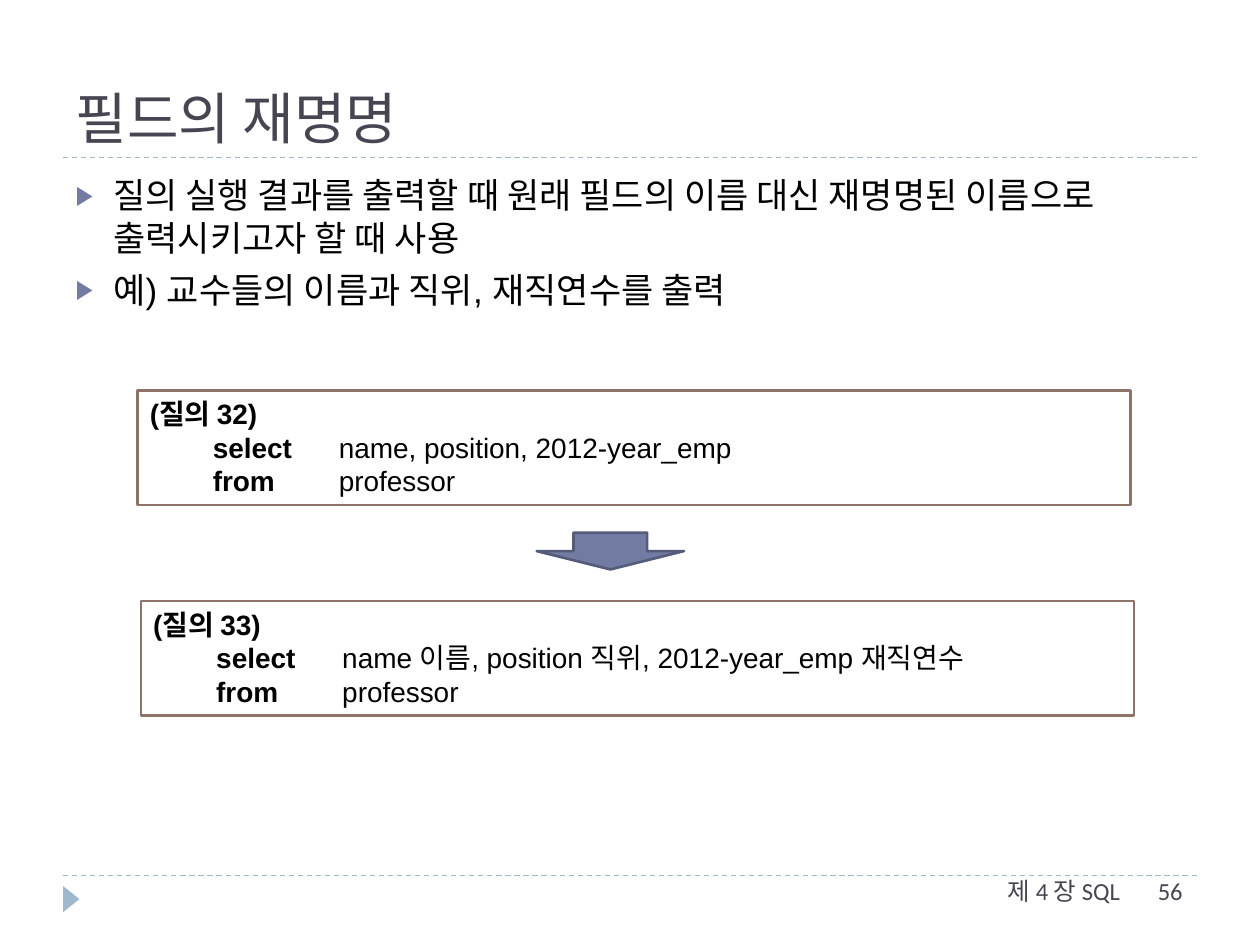
from lxml import etree
from pptx import Presentation
from pptx.dml.color import RGBColor
from pptx.enum.dml import MSO_LINE
from pptx.enum.shapes import MSO_CONNECTOR, MSO_SHAPE
from pptx.enum.text import MSO_ANCHOR, MSO_AUTO_SIZE, PP_ALIGN
from pptx.oxml.ns import qn
from pptx.util import Cm, Pt

STRAIGHT = MSO_CONNECTOR.STRAIGHT
DASH = MSO_LINE.DASH
RECTANGLE = MSO_SHAPE.RECTANGLE
DOWN_ARROW = MSO_SHAPE.DOWN_ARROW
TRIANGLE = MSO_SHAPE.ISOSCELES_TRIANGLE
TOP, BOTTOM = MSO_ANCHOR.TOP, MSO_ANCHOR.BOTTOM
LEFT, RIGHT = PP_ALIGN.LEFT, PP_ALIGN.RIGHT
NO_FIT = MSO_AUTO_SIZE.NONE

COLORS = {
    "white": "FFFFFF",
    "black": "000000",
    "heading": "464653",
    "accent": "727CA3",
    "accent_edge": "545C79",
    "pale": "9FB8CD",
    "box_edge": "8E736A",
}
FORMATS = {
    "title": {"name": "Arial", "size": Pt(32), "color": "heading", "bold": False},
    "body": {"name": "Calibri", "size": Pt(20), "color": "black"},
    "example": {"name": "Arial", "size": Pt(20), "color": "black"},
    "keyword": {"name": "Arial", "size": Pt(16), "color": "black", "bold": True},
    "code": {"name": "Arial", "size": Pt(16), "color": "black", "bold": False},
    "footer": {"name": "Calibri", "size": Pt(14), "color": "heading"},
}


def rgb(color):
    return RGBColor.from_string(COLORS[color])


class SlideBuilder:
    def __init__(self, slide):
        self.slide = slide
        self.shapes = slide.shapes

    def styled_run(self, paragraph, text, style):
        run = paragraph.add_run()
        run.text = text
        for key, value in FORMATS[style].items():
            if key == "color":
                run.font.color.rgb = rgb(value)
            else:
                setattr(run.font, key, value)

    def place(self, shape, box, anchor=TOP):
        for side, length in zip(("left", "top", "width", "height"), box):
            setattr(shape, side, Cm(length))
        frame = shape.text_frame
        settings = {"word_wrap": True, "auto_size": NO_FIT, "vertical_anchor": anchor}
        for key, value in settings.items():
            setattr(frame, key, value)
        return frame

    def paragraphs(self, frame, lines, align=LEFT):
        """Each line is a list of (text, style) runs."""
        for index, line in enumerate(lines):
            paragraph = frame.add_paragraph() if index else frame.paragraphs[0]
            paragraph.alignment = align
            for text, style in line:
                self.styled_run(paragraph, text, style)

    def title(self, box, text):
        frame = self.place(self.shapes.title, box, BOTTOM)
        self.paragraphs(frame, [[(text, "title")]])

    def bullets(self, box, lines):
        frame = self.place(self.slide.placeholders[1], box)
        self.paragraphs(frame, lines)
        for paragraph in frame.paragraphs:
            paragraph.space_before = Pt(6)
            properties = paragraph._p.get_or_add_pPr()
            properties.set("marL", str(Cm(0.76)))
            properties.set("indent", str(-Cm(0.76)))
            color = etree.SubElement(properties, qn("a:buClr"))
            etree.SubElement(color, qn("a:srgbClr"), val=COLORS["accent"])
            etree.SubElement(properties, qn("a:buSzPct"), val="76000")
            etree.SubElement(properties, qn("a:buFont"), typeface="Arial")
            etree.SubElement(properties, qn("a:buChar"), char="▶")

    def text(self, box, text, align=LEFT):
        label = self.shapes.add_textbox(*map(Cm, box))
        self.paragraphs(self.place(label, box), [[(text, "footer")]], align)

    def rule(self, y):
        line = self.shapes.add_connector(STRAIGHT, Cm(1.27), Cm(y), Cm(24.13), Cm(y))
        line.line.color.rgb = rgb("pale")
        line.line.width = Pt(0.75)
        line.line.dash_style = DASH
        etree.SubElement(line._element.spPr, qn("a:effectLst"))

    def shape(self, kind, box, fill, edge=None):
        shape = self.shapes.add_shape(kind, *map(Cm, box))
        shape.shadow.inherit = False
        shape.fill.solid()
        shape.fill.fore_color.rgb = rgb(fill)
        if edge:
            shape.line.color.rgb = rgb(edge)
            shape.line.width = Pt(1.5)
        else:
            shape.line.fill.background()
        return shape

    def query(self, left, top, label, fields):
        box = (left, top, 20.02, 2.31)
        frame = self.place(self.shape(RECTANGLE, box, "white", "box_edge"), box)
        clauses = [("select", fields), ("from", "professor")]
        self.paragraphs(frame, [[(label, "keyword")]] + [
            [(f"\t{word}", "keyword"), (f" \t{value}", "code")]
            for word, value in clauses
        ])


def main():
    deck = Presentation()
    deck.slide_width, deck.slide_height = Cm(25.4), Cm(19.05)
    page = SlideBuilder(deck.slides.add_slide(deck.slide_layouts[1]))

    # Frame: dashed rules and corner marker
    for y in (17.65, 3.18):
        page.rule(y)
    page.shape(TRIANGLE, (1.17, 17.96, 0.53, 0.33), "pale").rotation = 90

    # Title and explanation
    page.title((1.27, 0.43, 22.86, 2.74), "필드의 재명명")
    page.bullets((1.27, 3.38, 22.86, 5.13), [
        [("질의 실행 결과를 출력할 때 원래 필드의 이름 대신 재명명된 이름으로 "
          "출력시키고자 할 때 사용", "body")],
        [("예) 교수들의 이름과 직위, 재직연수를 출력", "example")],
    ])

    # Query before and after renaming
    page.query(2.77, 7.87, "(질의 32)", "name, position, 2012-year_emp")
    page.query(2.84, 12.12, "(질의 33)",
               "name 이름, position 직위, 2012-year_emp 재직연수")
    page.shape(DOWN_ARROW, (10.82, 10.74, 2.97, 0.74), "accent", "accent_edge")

    # Footer
    page.text((13.18, 17.53, 9.65, 1.02), "제 4 장 SQL", RIGHT)
    page.text((23.09, 17.53, 1.8, 1.02), "56")

    deck.save("out.pptx")


if __name__ == "__main__":
    main()
